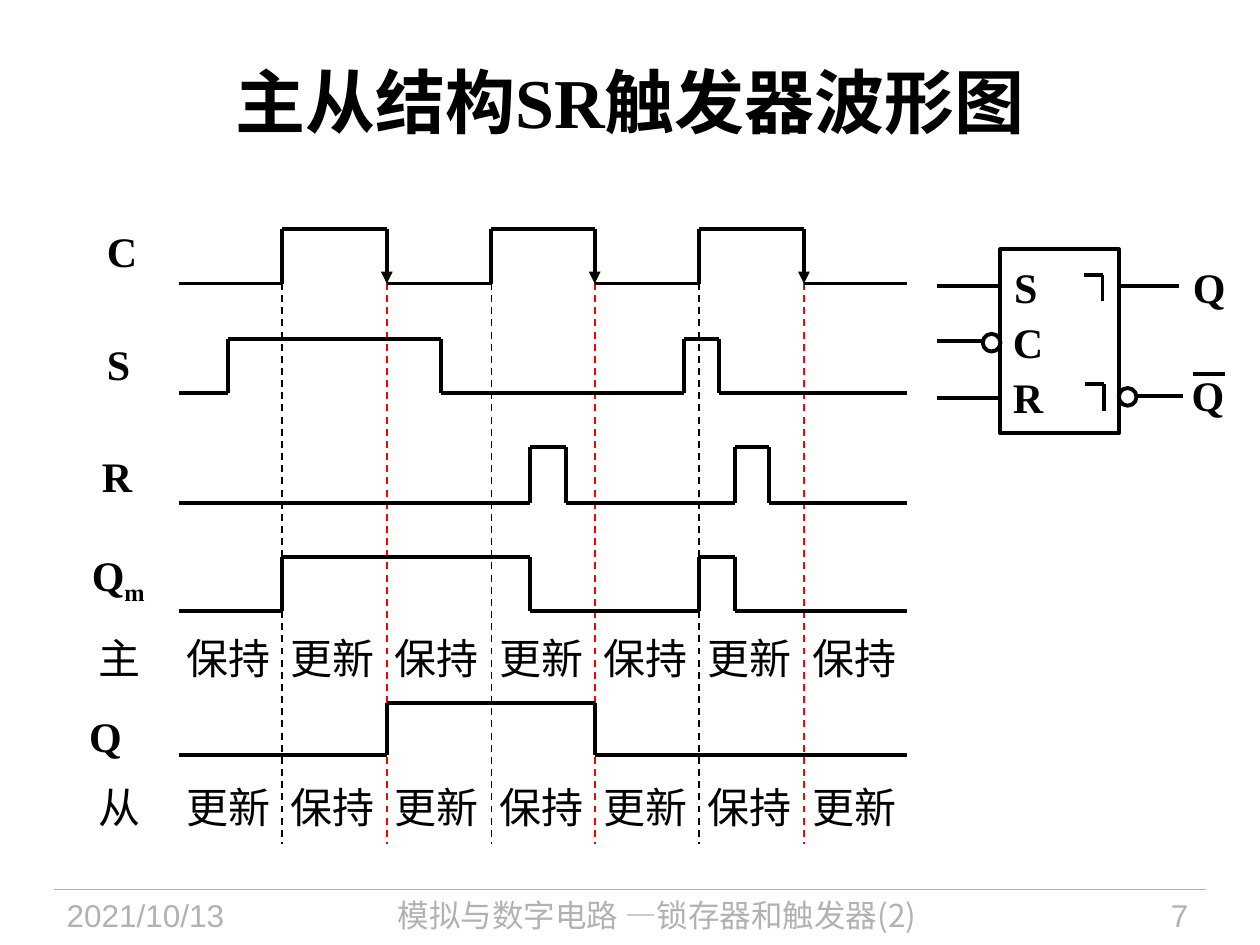
from lxml import etree
from pptx import Presentation
from pptx import util as u
from pptx.dml.color import RGBColor
from pptx.enum import dml, shapes, text
from pptx.oxml import ns

BLACK = RGBColor(0x00, 0x00, 0x00)
WHITE = RGBColor(0xFF, 0xFF, 0xFF)
RED = RGBColor(0xFF, 0x00, 0x00)
GRAY = RGBColor(0xB2, 0xB2, 0xB2)
SERIF, HAN = "Times New Roman", "Noto Sans CJK SC"
LEFT, RIGHT = text.PP_ALIGN.LEFT, text.PP_ALIGN.RIGHT
MID = text.PP_ALIGN.CENTER
BOLD = {"size": u.Pt(24), "bold": True, "name": SERIF}
PLAIN = {"size": u.Pt(24), "bold": False, "name": HAN}
FOOT = {"size": u.Pt(18), "bold": False, "name": HAN}
START, END, STEP = 1.42, 7.2, 4.14 / 5
EDGES = [round(2.24 + i * STEP, 2) for i in range(6)]


def style(run, form, color=BLACK):
    """Apply font values to a run, for Latin and East Asian text."""
    for key, val in form.items():
        setattr(run.font, key, val)
    run.font.color.rgb = color
    east = etree.SubElement(run.font._element, ns.qn("a:ea"))
    east.set("typeface", HAN)


def label(slide, words, box, form, color=BLACK, align=LEFT, wrap=False, sub=""):
    """Add a text box, with an optional subscript."""
    frame = slide.shapes.add_textbox(*map(u.Inches, box)).text_frame
    frame.word_wrap = wrap
    if not wrap:
        frame.auto_size = text.MSO_AUTO_SIZE.SHAPE_TO_FIT_TEXT
    para = frame.paragraphs[0]
    para.alignment = align
    for part in filter(None, (words, sub)):
        run = para.add_run()
        run.text = part
        style(run, form, color)
    if sub:
        run.font._element.set("baseline", "-25000")


def line(slide, start, end, color=BLACK, width=2.25, dash=False, arrow=False):
    """Draw a straight line and return it."""
    kind = shapes.MSO_CONNECTOR.STRAIGHT
    wire = slide.shapes.add_connector(kind, *map(u.Inches, (*start, *end)))
    wire.line.color.rgb = color
    wire.line.width = u.Pt(width)
    if dash:
        wire.line.dash_style = dml.MSO_LINE.DASH
    if arrow:
        tip = etree.SubElement(wire.line._get_or_add_ln(), ns.qn("a:tailEnd"))
        tip.set("type", "triangle")
    etree.SubElement(wire._element.spPr, ns.qn("a:effectLst"))
    return wire


def form(slide, kind, box, fill=None):
    """Add an outlined shape and return it."""
    item = slide.shapes.add_shape(kind, *map(u.Inches, box))
    item.shadow.inherit = False
    if fill is None:
        item.fill.background()
    else:
        item.fill.solid()
        item.fill.fore_color.rgb = fill
    item.line.color.rgb = BLACK
    item.line.width = u.Pt(2.25)
    return item


def wave(slide, low, high, flips, arrow=False):
    """Draw a signal that starts low and changes level at each flip."""
    stops = [START, *flips, END]
    for i, (x, end) in enumerate(zip(stops, stops[1:])):
        now, then = (high, low) if i % 2 else (low, high)
        line(slide, (x, now), (end, now))
        if i < len(flips):
            line(slide, (end, now), (end, then), arrow=arrow and i % 2 == 1)


def states(slide, name, top, words):
    """Write a row of latch states, one per half clock period."""
    label(slide, name, (0.68, top, 0.53, 0.5), PLAIN, align=MID)
    for i in range(7):
        box = (1.38 + i * STEP, top, 0.87, 0.5)
        label(slide, words[i % 2], box, PLAIN)


def timing(slide):
    """Draw the clock guides, the signals and their names."""
    for i, x in enumerate(EDGES):
        line(slide, (x, 1.86), (x, 6.7), RED if i % 2 else BLACK, 1, dash=True)
    wave(slide, 2.25, 1.82, EDGES, arrow=True)
    wave(slide, 3.12, 2.69, [1.81, 3.5, 5.43, 5.71])
    wave(slide, 3.99, 3.55, [4.21, 4.49, 5.83, 6.1])
    wave(slide, 4.85, 4.42, [EDGES[0], 4.21, EDGES[4], 5.83])
    wave(slide, 5.99, 5.58, [EDGES[1], EDGES[3]])
    names = [("C", 0.75, 1.74, 0.44, ""), ("S", 0.75, 2.64, 0.39, ""),
             ("R", 0.71, 3.53, 0.44, ""), ("Q", 0.63, 4.31, 0.65, "m"),
             ("Q", 0.61, 5.59, 0.46, "")]
    for name, x, y, wide, sub in names:
        label(slide, name, (x, y, wide, 0.5), BOLD, sub=sub)
    states(slide, "主", 4.97, ("保持", "更新"))
    states(slide, "从", 6.15, ("更新", "保持"))


def symbol(slide):
    """Draw the logic symbol of the flip-flop."""
    block = form(slide, shapes.MSO_SHAPE.RECTANGLE, (7.94, 1.98, 0.94, 1.46))
    for y in (2.27, 3.16):
        line(slide, (7.94, y), (7.44, y))
    clock = line(slide, (7.94, 2.71), (7.44, 2.71))
    clock.begin_connect(block, 1)
    line(slide, (8.88, 2.27), (9.36, 2.27))
    line(slide, (8.92, 3.14), (9.39, 3.14))
    for x, y in ((7.8, 2.65), (8.88, 3.08)):
        form(slide, shapes.MSO_SHAPE.OVAL, (x, y, 0.14, 0.14), WHITE)
    for x, y in ((8.75, 2.18), (8.76, 3.05)):
        line(slide, (x - 0.15, y), (x, y))
        line(slide, (x, y), (x, y + 0.21))
    pins = [("S", 7.95, 2.03, 0.39), ("C", 7.94, 2.46, 0.44),
            ("R", 7.94, 2.9, 0.44), ("Q", 9.37, 2.03, 0.46),
            ("Q", 9.36, 2.88, 0.46)]
    for name, x, y, wide in pins:
        label(slide, name, (x, y, wide, 0.5), BOLD)
    line(slide, (9.47, 2.97), (9.72, 2.97))


def head(slide):
    """Fill and place the title."""
    title = slide.shapes.title
    place = {"left": 0.5, "top": 0.17, "width": 9, "height": 1.25}
    for key, val in place.items():
        setattr(title, key, u.Inches(val))
    frame = title.text_frame
    frame.auto_size = text.MSO_AUTO_SIZE.NONE
    frame.vertical_anchor = text.MSO_ANCHOR.MIDDLE
    para = frame.paragraphs[0]
    para.alignment = MID
    run = para.add_run()
    run.text = "主从结构SR触发器波形图"
    style(run, {**BOLD, "size": u.Pt(40)})


def foot(slide):
    """Add the footer rule, date, subject and page number."""
    line(slide, (0.43, 7.06), (9.57, 7.06), GRAY, 0.75)
    items = [("2021/10/13", 0.43, 1.88, LEFT, "Arial"),
             ("模拟与数字电路 —锁存器和触发器(2)", 2.4, 5.63, MID, HAN),
             ("7", 8.2, 1.33, RIGHT, "Arial")]
    for words, x, wide, align, name in items:
        label(slide, words, (x, 7.06, wide, 0.44), {**FOOT, "name": name},
              GRAY, align, wrap=True)


def main():
    """Build and save the slide."""
    deck = Presentation()
    deck.slide_width, deck.slide_height = u.Inches(10), u.Inches(7.5)
    slide = deck.slides.add_slide(deck.slide_layouts[5])
    head(slide)
    foot(slide)
    timing(slide)
    symbol(slide)
    deck.save("out.pptx")


if __name__ == "__main__":
    main()
